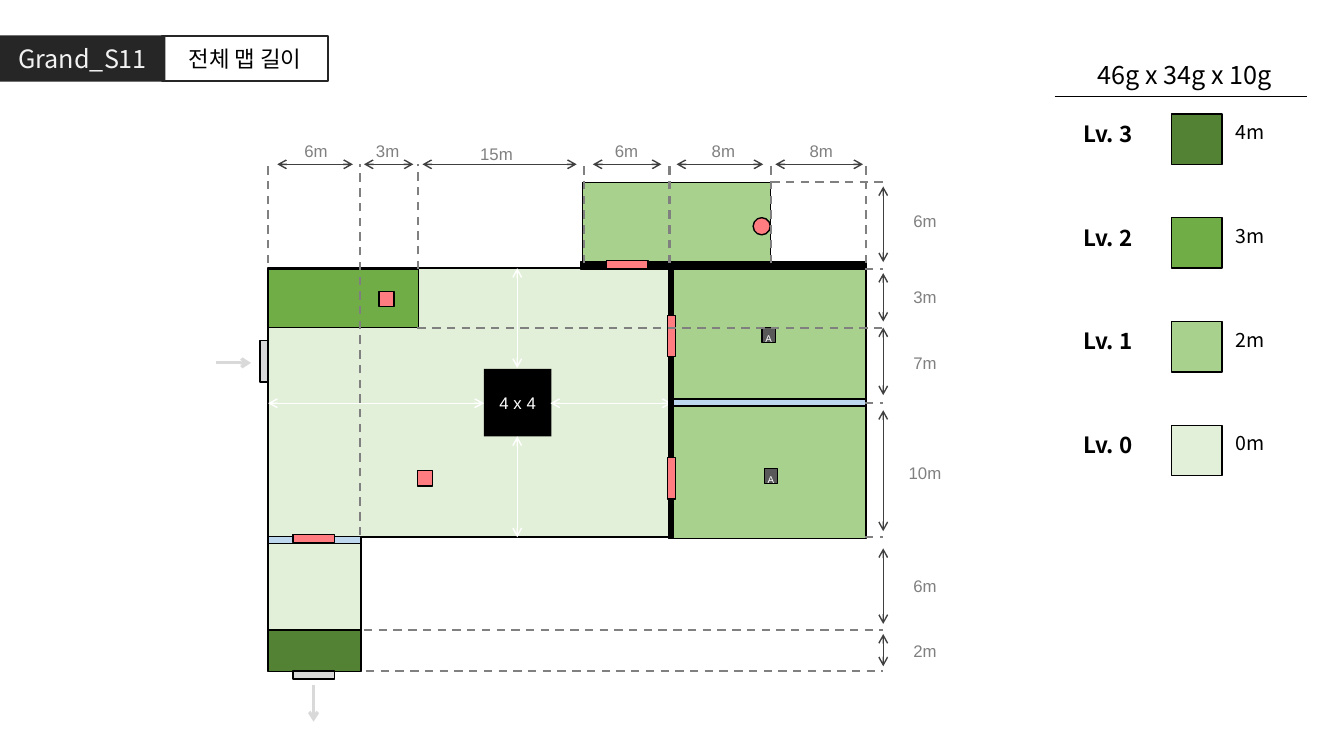
import dataclasses

import pptx
import pptx.dml.color
import pptx.enum.dml
import pptx.enum.shapes
import pptx.enum.text
import pptx.oxml
import pptx.oxml.ns
import pptx.util

Inches = pptx.util.Inches
Pt = pptx.util.Pt
Shape = pptx.enum.shapes.MSO_SHAPE
Align = pptx.enum.text.PP_ALIGN
Anchor = pptx.enum.text.MSO_ANCHOR
AutoSize = pptx.enum.text.MSO_AUTO_SIZE


@dataclasses.dataclass(frozen=True)
class Theme:
    level_0: str = "E2F0D9"
    level_1: str = "A9D18E"
    level_2: str = "70AD47"
    level_3: str = "548235"
    black: str = "000000"
    white: str = "FFFFFF"
    header: str = "262626"
    header_text: str = "F2F2F2"
    marker: str = "FF7C80"
    glass: str = "BDD7EE"
    gate: str = "D9D9D9"
    crate: str = "595959"
    guide: str = "808080"
    measure: str = "404040"
    heading_size: float = 18
    label_size: float = 16
    value_size: float = 14
    measure_size: float = 12
    crate_size: float = 7
    sans: str = "Arial"
    korean: str = "Noto Sans CJK KR"


class MapSlide:
    def __init__(self, slide, theme):
        self.slide = slide
        self.theme = theme

    def color(self, value):
        return pptx.dml.color.RGBColor.from_string(value)

    def place(self, shape, left, top, width, height):
        shape.left, shape.top = Inches(left), Inches(top)
        shape.width, shape.height = Inches(width), Inches(height)

    def label(self, shape, text, size, color, font=None, bold=False, align=Align.CENTER):
        shape.text_frame.text = text
        paragraph = shape.text_frame.paragraphs[0]
        paragraph.alignment = align
        paragraph.font.size = Pt(size)
        paragraph.font.name = font or self.theme.sans
        paragraph.font.bold = bold
        paragraph.font.color.rgb = self.color(color)

    def title(self, text, box):
        shape = self.slide.shapes.title
        self.place(shape, *box)
        shape.fill.solid()
        shape.fill.fore_color.rgb = self.color(self.theme.header)
        self.label(shape, text, self.theme.heading_size, self.theme.header_text, self.theme.korean)
        shape.text_frame.auto_size = AutoSize.NONE
        shape.text_frame.vertical_anchor = Anchor.MIDDLE

    def box(self, box, fill=None, line="000000", weight=1, kind=Shape.RECTANGLE, rotation=0):
        shape = self.slide.shapes.add_shape(kind, *map(Inches, box))
        shape.shadow.inherit = False
        shape.rotation = rotation
        if fill:
            shape.fill.solid()
            shape.fill.fore_color.rgb = self.color(fill)
        else:
            shape.fill.background()
        if line:
            shape.line.color.rgb = self.color(line)
            shape.line.width = Pt(weight)
        else:
            shape.line.fill.background()
        return shape

    def text(self, text, box, size, color, font=None, bold=False, align=Align.LEFT):
        shape = self.slide.shapes.add_textbox(*map(Inches, box))
        shape.text_frame.word_wrap = True
        shape.text_frame.auto_size = AutoSize.SHAPE_TO_FIT_TEXT
        self.label(shape, text, size, color, font, bold, align)

    def line(self, start, end, color, weight=1, dashed=False, arrows=()):
        connector = self.slide.shapes.add_connector(
            pptx.enum.shapes.MSO_CONNECTOR.STRAIGHT, *map(Inches, (*start, *end)))
        connector.line.color.rgb = self.color(color)
        connector.line.width = Pt(weight)
        if dashed:
            connector.line.dash_style = pptx.enum.dml.MSO_LINE.DASH
        properties = connector.element.spPr
        outline = properties.find(pptx.oxml.ns.qn("a:ln"))
        namespace = pptx.oxml.ns.nsdecls("a")
        for end_name in arrows:
            outline.append(pptx.oxml.parse_xml(f'<a:{end_name} {namespace} type="arrow"/>'))
        properties.append(pptx.oxml.parse_xml(f"<a:effectLst {namespace}/>"))

    def span(self, start, end, color):
        self.line(start, end, color, arrows=("headEnd", "tailEnd"))

    def guide(self, start, end):
        self.line(start, end, self.theme.guide, 1.5, dashed=True)

    def measure(self, text, left, top):
        self.text(text, (left, top, 0.73, 0.3), self.theme.measure_size,
                  self.theme.guide, align=Align.CENTER)

    def door(self, left, top, fill, rotation=0):
        self.box((left, top, 0.08, 0.41), fill, rotation=rotation)

    def crate(self, left, top):
        shape = self.box((left, top, 0.13, 0.15), self.theme.crate)
        frame = shape.text_frame
        frame.word_wrap = False
        frame.vertical_anchor = Anchor.TOP
        frame.margin_left = frame.margin_right = frame.margin_bottom = 0
        self.label(shape, "A", self.theme.crate_size, self.theme.white)


theme = Theme()
presentation = pptx.Presentation()
presentation.slide_width, presentation.slide_height = Inches(13.33), Inches(7.5)
page = MapSlide(presentation.slides.add_slide(presentation.slide_layouts[5]), theme)

page.title("Grand_S11", (0, 0.35, 1.64, 0.46))
subtitle = page.box((1.61, 0.36, 1.64, 0.44), line=theme.header, weight=1.5)
page.label(subtitle, "전체 맵 길이", theme.label_size, theme.black)

page.text("46g x 34g x 10g", (10.65, 0.54, 2.2, 0.4), theme.heading_size,
          theme.black, theme.korean, align=Align.CENTER)
page.line((10.46, 0.96), (12.96, 0.96), theme.black)
levels = [("Lv. 3", "4m", theme.level_3), ("Lv. 2", "3m", theme.level_2),
          ("Lv. 1", "2m", theme.level_1), ("Lv. 0", "0m", theme.level_0)]
for row, (name, height, fill) in enumerate(levels):
    top = 1.13 + 1.03 * row
    page.box((11.62, top, 0.5, 0.5), fill)
    page.text(name, (10.65, top + 0.01, 1.07, 0.36), theme.label_size,
              theme.black, theme.korean, bold=True)
    page.text(height, (12.16, top + 0.01, 0.71, 0.33), theme.value_size,
              theme.black, theme.korean)

page.box((5.78, 1.81, 1.86, 0.85), theme.level_1)
page.box((2.66, 2.66, 4, 2.67), theme.level_0)
center = page.box((4.8, 3.66, 0.67, 0.67), theme.black, line=None)
center.text_frame.word_wrap = False
page.label(center, "4 x 4", theme.measure_size, theme.white)
for start, end in [((5.13, 2.66), (5.13, 3.65)), ((5.13, 4.33), (5.13, 5.33)),
                   ((2.66, 4), (4.8, 4)), ((5.46, 4), (6.66, 4))]:
    page.span(start, end, theme.white)

for box, fill in [((6.66, 2.66, 1.93, 1.34), theme.level_1),
                  ((6.66, 4, 1.93, 1.34), theme.level_1),
                  ((2.66, 2.67, 1.49, 0.58), theme.level_2),
                  ((2.66, 5.33, 0.92, 0.92), theme.level_0),
                  ((2.66, 6.25, 0.92, 0.41), theme.level_3),
                  ((5.76, 2.6, 2.83, 0.07), theme.black),
                  ((6.66, 3.96, 1.93, 0.07), theme.glass),
                  ((2.66, 5.32, 0.92, 0.07), theme.glass),
                  ((6.63, 2.67, 0.05, 2.67), theme.black),
                  ((4.14, 4.67, 0.15, 0.15), theme.marker),
                  ((3.76, 2.89, 0.15, 0.15), theme.marker)]:
    page.box(box, fill)
page.box((7.47, 2.16, 0.17, 0.17), theme.marker, kind=Shape.OVAL)

for left, top, fill, rotation in [(6.18, 2.42, theme.marker, 90), (3.07, 5.14, theme.marker, 90),
                                  (6.62, 3.13, theme.marker, 0), (6.62, 4.54, theme.marker, 0),
                                  (2.58, 3.38, theme.gate, 0), (3.07, 6.49, theme.gate, 90)]:
    page.door(left, top, fill, rotation)
for start, end in [((2.14, 3.6), (2.49, 3.6)), ((3.11, 6.8), (3.11, 7.16))]:
    page.line(start, end, theme.gate, 2.25, arrows=("tailEnd",))
page.crate(7.56, 3.25)
page.crate(7.58, 4.65)

ruler_top, ruler_left = 1.63, 8.76
for left, bottom in [(2.66, 2.61), (3.57, 5.31), (4.15, 2.67), (5.79, 2.61),
                     (6.64, 2.61), (7.65, 2.61), (8.59, 2.61)]:
    page.guide((left, bottom), (left, ruler_top))
for left, top in [(7.65, 1.81), (8.58, 2.67), (4.14, 3.25), (8.58, 4),
                  (8.58, 5.33), (3.61, 6.25), (3.63, 6.66)]:
    page.guide((left, top), (ruler_left, top))

for text, start, end, left, top in [("6m", 2.75, 3.5, 2.77, 1.35), ("3m", 3.61, 4.1, 3.48, 1.35),
                                    ("15m", 4.19, 5.72, 4.56, 1.38), ("6m", 5.88, 6.56, 5.85, 1.35),
                                    ("8m", 6.71, 7.57, 6.81, 1.35), ("8m", 7.69, 8.56, 7.78, 1.35)]:
    page.span((start, ruler_top), (end, ruler_top), theme.measure)
    page.measure(text, left, top)
for text, start, end, top in [("6m", 1.85, 2.6, 2.04), ("3m", 2.71, 3.19, 2.8),
                              ("7m", 3.25, 3.92, 3.45), ("10m", 4.07, 5.27, 4.54),
                              ("6m", 5.44, 6.19, 5.66), ("2m", 6.29, 6.61, 6.31)]:
    page.span((ruler_left, start), (ruler_left, end), theme.measure)
    page.measure(text, 8.81, top)

presentation.save("out.pptx")
